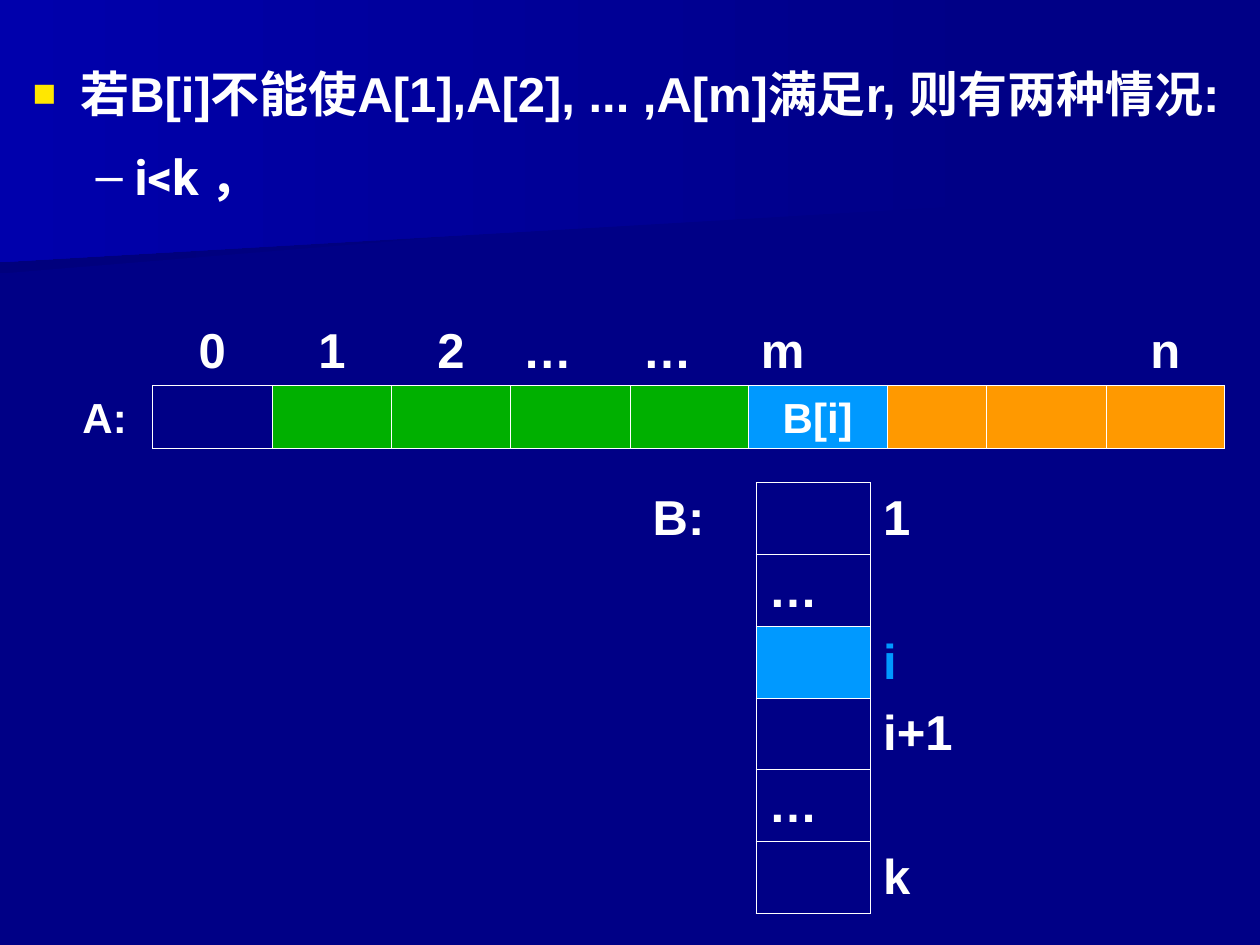
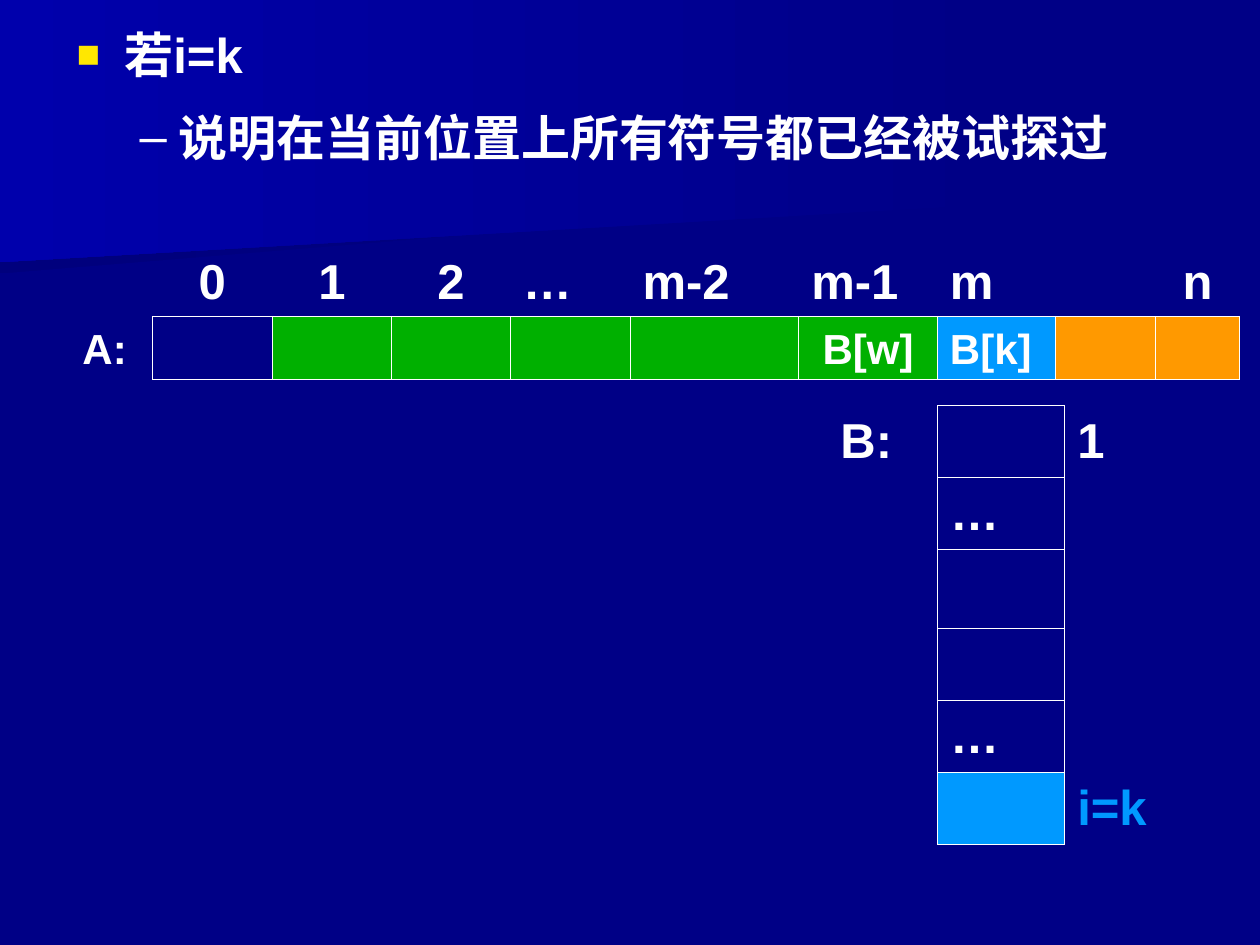
from lxml import etree
from pptx import Presentation
from pptx.dml.color import RGBColor
from pptx.enum import text
from pptx.oxml import ns
from pptx.util import Inches, Pt

NAVY, DARK, BRIGHT = "000086", "00007D", "0000AC"
WHITE, YELLOW = "FFFFFF", "FFE701"
GREEN, BLUE, ORANGE = "00B000", "0099FF", "FF9900"
PLAIN_STYLE = "{2D5ABB26-0587-4C30-8999-92F81FD0307C}"
LEFT = {"…", "m-2", "m-1", "m", "B[k]"}
ROW = 0.57


def rgb(code):
    return RGBColor.from_string(code)


def node(parent, tag, **attrs):
    return etree.SubElement(parent, ns.qn(tag), attrs)


def add_run(para, words, size=28, color=WHITE, face="Arial"):
    run = para.add_run()
    run.text = words
    font = run.font
    font.name, font.size, font.bold = face, Pt(size), True
    font.color.rgb = rgb(color)


def add_band(slide, points, start, end):
    """Draw a backdrop shape that fades from start (right) to end (left)."""
    spots = [(Inches(x), Inches(y)) for x, y in points]
    form = slide.shapes.build_freeform(*spots[0])
    form.add_line_segments(spots[1:], close=True)
    band = form.convert_to_shape()
    band.shadow.inherit = False
    band.line.fill.background()
    band.fill.gradient()
    band.fill.gradient_angle = 180
    for stop, color in zip(band.fill.gradient_stops, (start, end)):
        stop.color.rgb = rgb(color)


def add_slide(prs):
    slide = prs.slides.add_slide(prs.slide_layouts[6])
    add_band(slide, [(7.78, 1.53), (0, 2.17), (0, 1.01), (7.79, 1.01)],
             NAVY, DARK)
    add_band(slide, [(7.92, 1.62), (0, 2.08), (0, 0), (7.92, 0)],
             NAVY, BRIGHT)
    return slide


def set_bullet(para, char, color, scale, margin, hang):
    props = para._p.get_or_add_pPr()
    props.set("marL", str(Inches(margin)))
    props.set("indent", str(-Inches(hang)))
    node(node(props, "a:buClr"), "a:srgbClr", val=color)
    node(props, "a:buSzPct", val=str(scale * 1000))
    node(props, "a:buFont", typeface="Arial")
    node(props, "a:buChar", char=char)


def add_body(slide, box, point, detail):
    """Add a main point and one detail below it."""
    frame = slide.shapes.add_textbox(*map(Inches, box)).text_frame
    frame.word_wrap = True
    first, second = frame.paragraphs[0], frame.add_paragraph()
    set_bullet(first, "■", YELLOW, 80, 0.38, 0.38)
    set_bullet(second, "–", WHITE, 100, 0.81, 0.31)
    second.level = 1
    second.space_before = Pt(7)
    for para in (first, second):
        para.line_spacing = 1.2
    add_run(first, point)
    add_run(second, detail, face="Roboto")


def add_grid(slide, left, top, widths, heights):
    frame = slide.shapes.add_table(
        len(heights), len(widths), Inches(left), Inches(top),
        Inches(sum(widths)), Inches(sum(heights)))
    grid = frame.table
    grid.first_row = grid.horz_banding = False
    grid._tbl.tblPr.find(ns.qn("a:tableStyleId")).text = PLAIN_STYLE
    for col, width in zip(grid.columns, widths):
        col.width = Inches(width)
    for row, height in zip(grid.rows, heights):
        row.height = Inches(height)
    return grid


def set_cell(cell, words, fill=None, boxed=False, size=28, color=WHITE,
             center=False, low=False):
    if boxed:
        props = cell._tc.get_or_add_tcPr()
        for side in "LRTB":
            line = node(props, f"a:ln{side}", w=str(Pt(0.45)))
            node(node(line, "a:solidFill"), "a:srgbClr", val=WHITE)
    if fill:
        cell.fill.solid()
        cell.fill.fore_color.rgb = rgb(fill)
    else:
        cell.fill.background()
    anchor = text.MSO_ANCHOR
    cell.vertical_anchor = anchor.BOTTOM if low else anchor.MIDDLE
    if words:
        para = cell.text_frame.paragraphs[0]
        if center:
            para.alignment = text.PP_ALIGN.CENTER
        add_run(para, words, size, color)


def add_array(slide, top, widths, heads, marks, fills):
    """Add array A: index heads above a row of boxed, coloured cells."""
    grid = add_grid(slide, 0.27, top, widths, [ROW, 0.5])
    for col, (head, fill) in enumerate(zip(heads, fills)):
        mark = marks.get(col, "")
        set_cell(grid.cell(0, col), head, center=head not in LEFT, low=True)
        set_cell(grid.cell(1, col), mark, fill, boxed=col > 0, size=24,
                 center=mark not in LEFT, low=True)
    grid.cell(1, 0).margin_left = Inches(0.28)


def add_stack(slide, left, top, widths, heights, labels, active):
    """Add stack B: boxed cells with labels at right, one of them active."""
    grid = add_grid(slide, left, top, widths, heights)
    for row, label in enumerate(labels):
        on = row == active
        set_cell(grid.cell(row, 0), "" if row else "B:")
        set_cell(grid.cell(row, 1), "…" if row in (1, 4) else "",
                 BLUE if on else None, boxed=True)
        set_cell(grid.cell(row, 2), label, color=BLUE if on else WHITE)


def main():
    prs = Presentation()
    prs.slide_width, prs.slide_height = Inches(10), Inches(7.5)
    back = prs.slide_master.background.fill
    back.solid()
    back.fore_color.rgb = rgb(NAVY)
    start = [0.94, 0.95, 0.95, 0.94, 0.95]

    slide = add_slide(prs)
    add_body(slide, (0.16, 0.36, 9.65, 2.6),
             "若B[i]不能使A[1],A[2], ... ,A[m]满足r, 则有两种情况:", "i<k ，")
    add_array(slide, 2.49, start + [0.94, 1.1, 0.79, 0.95, 0.94],
              ["", "0", "1", "2", "…", "…", "m", "", "", "n"],
              {0: "A:", 6: "B[i]"},
              [None] * 2 + [GREEN] * 4 + [BLUE] + [ORANGE] * 3)
    add_stack(slide, 5.08, 3.83, [0.92, 0.91, 0.77], [ROW] * 6,
              ["1", "", "i", "i+1", "", "k"], 2)

    slide = add_slide(prs)
    add_body(slide, (0.51, 0.05, 9.29, 3.78),
             "若i=k", "说明在当前位置上所有符号都已经被试探过")
    add_array(slide, 1.94, start + [1.34, 1.1, 0.94, 0.79, 0.67],
              ["", "0", "1", "2", "…", "m-2", "m-1", "m", "", "n"],
              {0: "A:", 6: "B[w]", 7: "B[k]"},
              [None] * 2 + [GREEN] * 5 + [BLUE] + [ORANGE] * 2)
    add_stack(slide, 6.57, 3.22, [0.87, 1.01, 1.35],
              [ROW, ROW, 0.63, ROW, ROW, ROW],
              ["1", "", "", "", "", "i=k"], 5)

    prs.save("out.pptx")


if __name__ == "__main__":
    main()
